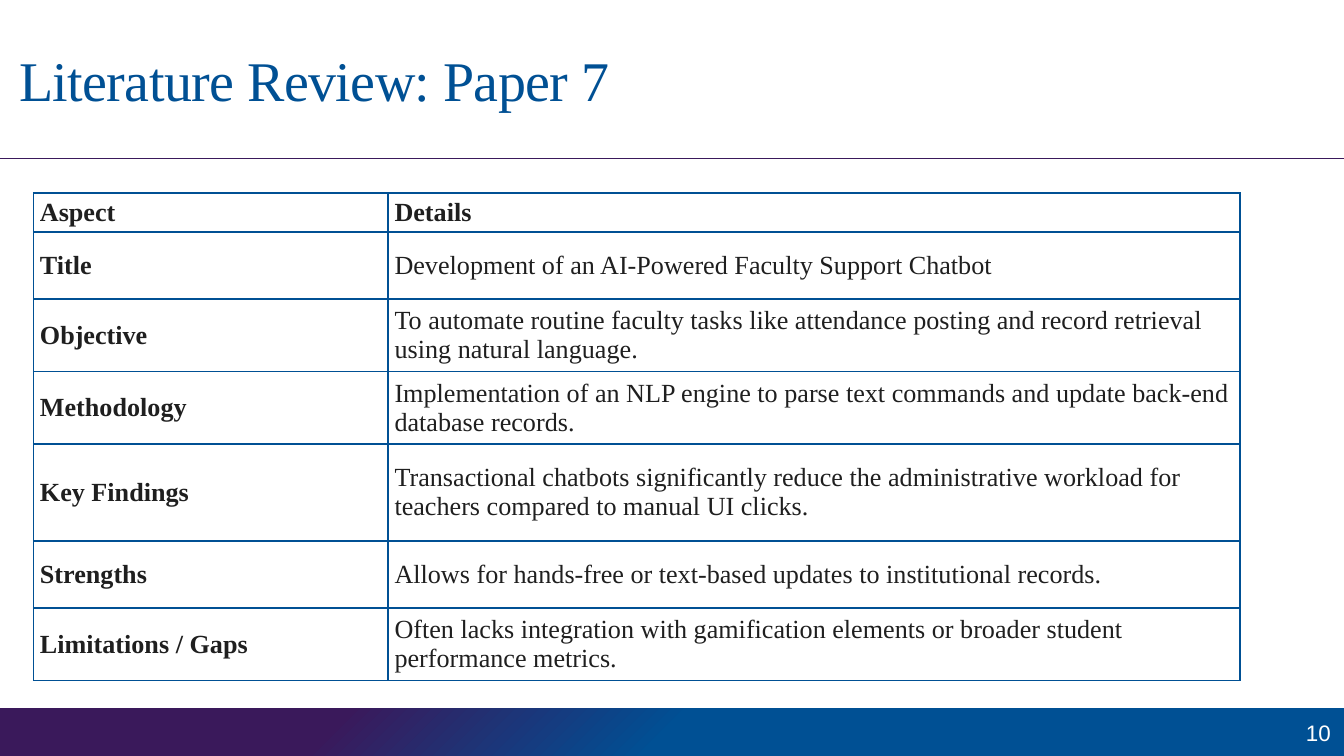
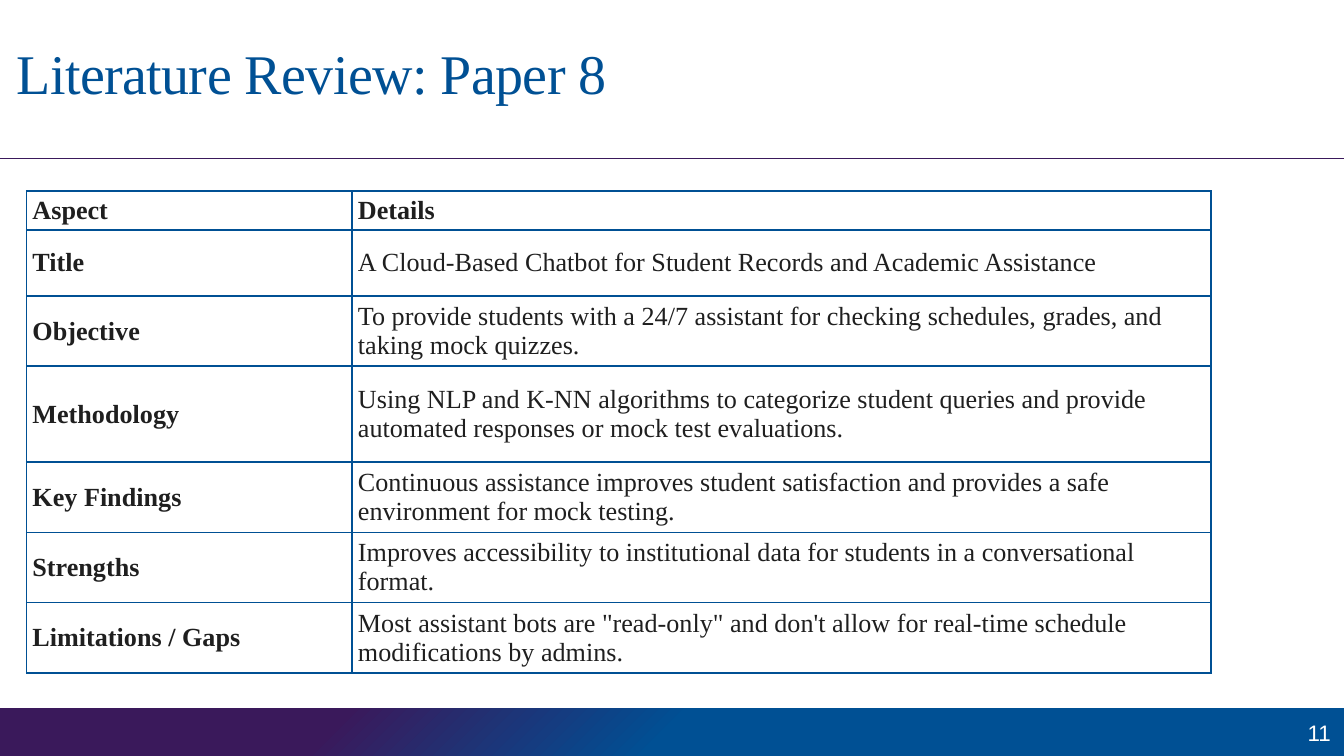
from lxml import etree
from pptx import Presentation
from pptx.dml.color import RGBColor
from pptx.enum.shapes import MSO_CONNECTOR as Connector, MSO_SHAPE as Shape
from pptx.enum.text import MSO_ANCHOR as Anchor, MSO_AUTO_SIZE as AutoSize, PP_ALIGN as Align
from pptx.oxml import parse_xml
from pptx.oxml.ns import nsdecls, qn
from pptx.util import Pt

BLUE = RGBColor(0x00, 0x50, 0x94)
PURPLE = RGBColor(0x3A, 0x19, 0x5B)
INK = RGBColor(0x1F, 0x1F, 0x1F)
WHITE = RGBColor(0xFF, 0xFF, 0xFF)
SERIF, SANS = "Times New Roman", "Arial"
PAGE_WIDTH, PAGE_HEIGHT = 720, 405
FOOTER_HEIGHT = 25.6
FOOTER_TOP = PAGE_HEIGHT - FOOTER_HEIGHT
RULE_TOP = 84.8
ASPECTS = ("Title", "Objective", "Methodology", "Key Findings", "Strengths", "Limitations / Gaps")

REVIEWS = [
    dict(
        number=10, title="Literature Review: Paper 7", title_at=(6.7, 18.6),
        table_at=(18, 103.5), columns=(190, 456.3), inset=3.4,
        rows=(20.4, 36, 38.8, 38.8, 52, 36, 38.8),
        details=(
            "Development of an AI-Powered Faculty Support Chatbot",
            "To automate routine faculty tasks like attendance posting and record retrieval "
            "using natural language.",
            "Implementation of an NLP engine to parse text commands and update back-end "
            "database records.",
            "Transactional chatbots significantly reduce the administrative workload for "
            "teachers compared to manual UI clicks.",
            "Allows for hands-free or text-based updates to institutional records.",
            "Often lacks integration with gamification elements or broader student "
            "performance metrics.",
        ),
    ),
    dict(
        number=11, title="Literature Review: Paper 8", title_at=(5.3, 14.9),
        table_at=(14.3, 102.3), columns=(174.4, 460), inset=3.1,
        rows=(20.4, 35.5, 37, 51.4, 37, 37, 37),
        details=(
            "A Cloud-Based Chatbot for Student Records and Academic Assistance",
            "To provide students with a 24/7 assistant for checking schedules, grades, and "
            "taking mock quizzes.",
            "Using NLP and K-NN algorithms to categorize student queries and provide "
            "automated responses or mock test evaluations.",
            "Continuous assistance improves student satisfaction and provides a safe "
            "environment for mock testing.",
            "Improves accessibility to institutional data for students in a conversational "
            "format.",
            "Most assistant bots are \"read-only\" and don't allow for real-time schedule "
            "modifications by admins.",
        ),
    ),
]


def write(frame, text, size=14, font=SERIF, color=INK, bold=False, align=Align.LEFT,
          spacing=None, indent=None):
    """Put one formatted paragraph into a text frame."""
    frame.word_wrap = True
    para = frame.paragraphs[0]
    para.alignment = align
    if indent is not None:
        properties = para._p.get_or_add_pPr()
        properties.set("marL", str(Pt(indent)))
        properties.set("indent", "0")
    span = para.add_run()
    span.text = text
    span.font.size = Pt(size)
    span.font.name = font
    span.font.bold = bold
    span.font.color.rgb = color
    if spacing is not None:
        span._r.get_or_add_rPr().set("spc", str(round(spacing * 100)))


def set_borders(cell, color, width):
    """Draw all four sides of a table cell."""
    properties = cell._tc.get_or_add_tcPr()
    for index, side in enumerate(("lnL", "lnR", "lnT", "lnB")):
        properties.insert(index, parse_xml(
            f'<a:{side} {nsdecls("a")} w="{Pt(width)}"><a:solidFill>'
            f'<a:srgbClr val="{color}"/></a:solidFill></a:{side}>'))


class ReviewDeck:
    def __init__(self):
        self.deck = Presentation()
        self.deck.slide_width = Pt(PAGE_WIDTH)
        self.deck.slide_height = Pt(PAGE_HEIGHT)
        self.page = None

    def add_page(self, number):
        self.page = self.deck.slides.add_slide(self.deck.slide_layouts[6])
        self.add_footer_band()
        self.add_rule()
        self.add_number(number)

    def add_footer_band(self):
        band = self.page.shapes.add_shape(
            Shape.RECTANGLE, 0, Pt(FOOTER_TOP), Pt(PAGE_WIDTH), Pt(FOOTER_HEIGHT))
        band.shadow.inherit = False
        band.line.fill.background()
        # Radial gradient spreading from the lower right corner
        stops = "".join(
            f'<a:gs pos="{place * 1000}"><a:srgbClr val="{color}"/></a:gs>'
            for place, color in ((0, BLUE), (50, BLUE), (75, PURPLE)))
        band._element.spPr.find(qn("a:prstGeom")).addnext(parse_xml(
            f'<a:gradFill {nsdecls("a")}><a:gsLst>{stops}</a:gsLst><a:path path="circle">'
            '<a:fillToRect l="100000" t="100000"/></a:path></a:gradFill>'))

    def add_rule(self):
        rule = self.page.shapes.add_connector(
            Connector.STRAIGHT, 0, Pt(RULE_TOP), Pt(PAGE_WIDTH), Pt(RULE_TOP))
        rule.line.color.rgb = PURPLE
        rule.line.width = Pt(0.75)
        etree.SubElement(rule._element.spPr, qn("a:effectLst"))

    def add_number(self, number):
        width = 40.4
        box = self.page.shapes.add_textbox(
            Pt(PAGE_WIDTH - width), Pt(FOOTER_TOP), Pt(width), Pt(FOOTER_HEIGHT))
        box.text_frame.vertical_anchor = Anchor.MIDDLE
        write(box.text_frame, str(number), size=12, font=SANS, color=WHITE, align=Align.RIGHT)

    def add_title(self, text, left, top):
        box = self.page.shapes.add_textbox(Pt(left), Pt(top), Pt(585.3), Pt(41.6))
        frame = box.text_frame
        frame.margin_left = frame.margin_right = frame.margin_bottom = 0
        frame.margin_top = Pt(5.8)
        frame.auto_size = AutoSize.SHAPE_TO_FIT_TEXT
        write(frame, text, size=30, color=BLUE, spacing=-0.3, indent=3.6)

    def add_table(self, left, top, columns, rows, inset, details):
        table = self.page.shapes.add_table(
            len(rows), len(columns), Pt(left), Pt(top), Pt(sum(columns)), Pt(sum(rows))).table
        table.first_row = table.horz_banding = False
        for column, width in zip(table.columns, columns):
            column.width = Pt(width)
        for row, height in zip(table.rows, rows):
            row.height = Pt(height)
        lines = [("Aspect", "Details"), *zip(ASPECTS, details)]
        for row_index, line in enumerate(lines):
            for column_index, text in enumerate(line):
                cell = table.cell(row_index, column_index)
                cell.fill.background()
                cell.vertical_anchor = Anchor.MIDDLE
                cell.margin_left = cell.margin_right = Pt(inset)
                cell.margin_top = cell.margin_bottom = Pt(2)
                set_borders(cell, BLUE, 1)
                write(cell.text_frame, text, bold=row_index == 0 or column_index == 0)


def main():
    review_deck = ReviewDeck()
    for review in REVIEWS:
        review_deck.add_page(review["number"])
        review_deck.add_title(review["title"], *review["title_at"])
        review_deck.add_table(*review["table_at"], review["columns"], review["rows"],
                              review["inset"], review["details"])
    review_deck.deck.save("out.pptx")


if __name__ == "__main__":
    main()
